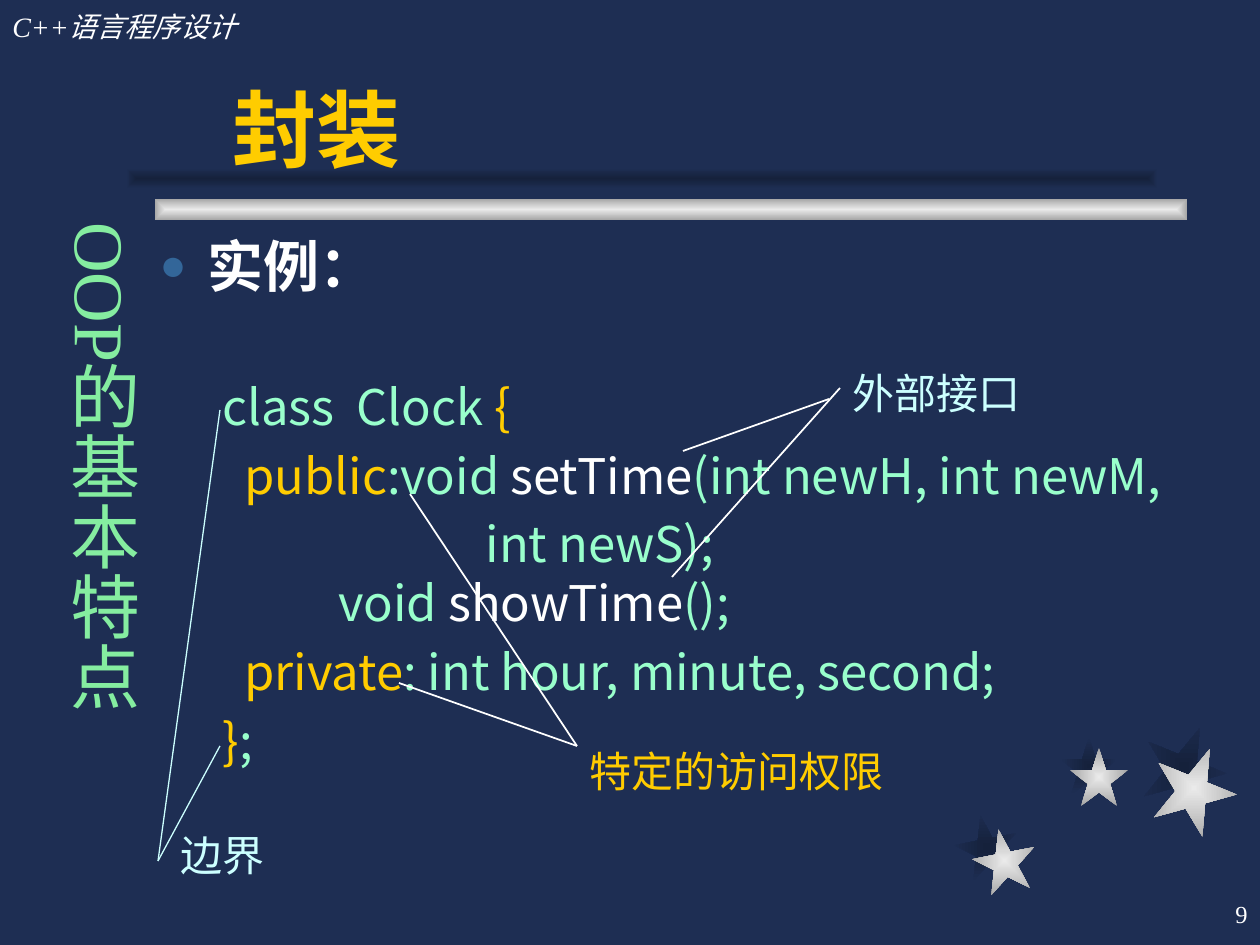
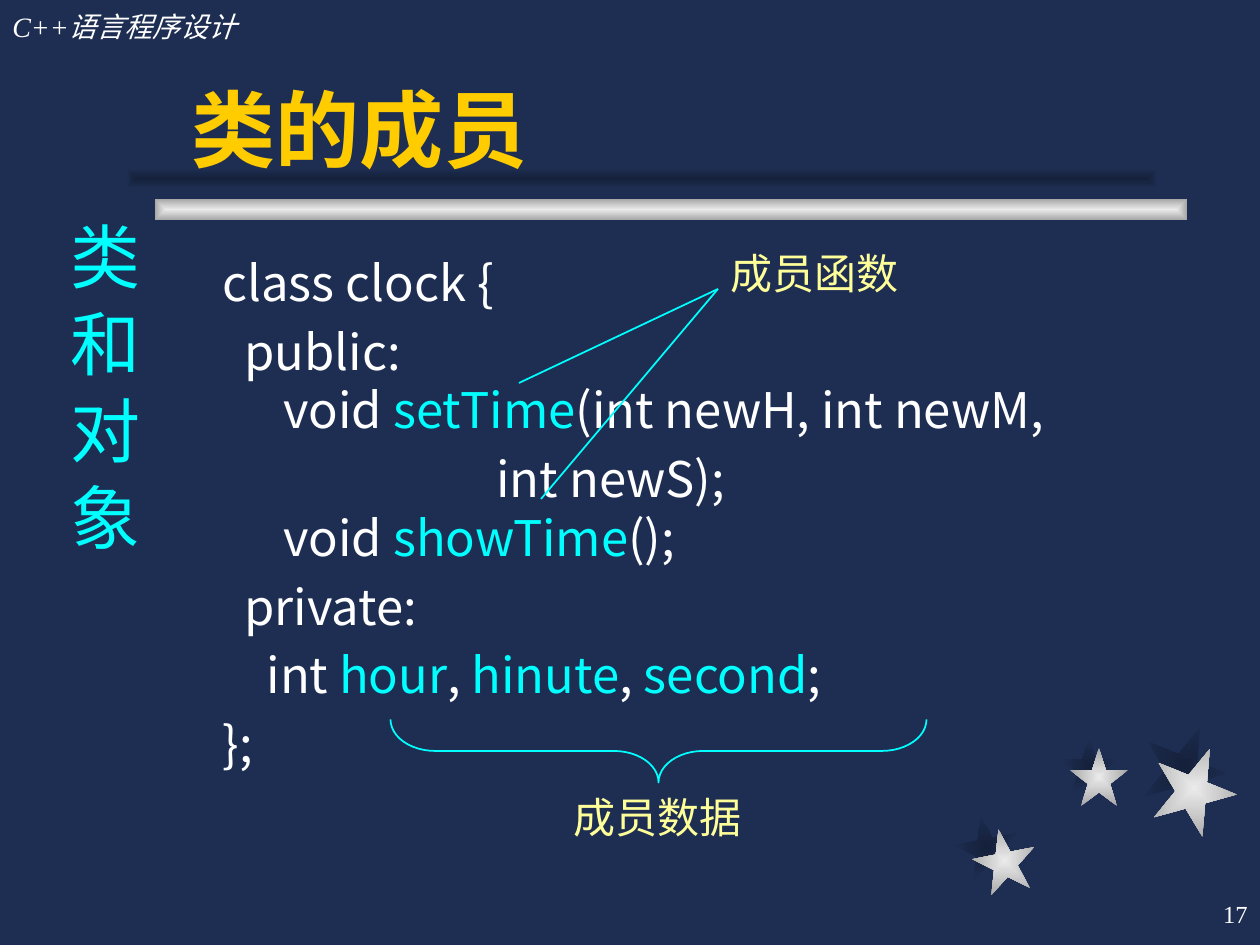
from dataclasses import dataclass
from lxml.etree import SubElement
from pptx import Presentation
from pptx.dml.color import RGBColor
from pptx.enum.shapes import MSO_CONNECTOR as Connector, MSO_SHAPE as Shape
from pptx.enum.text import MSO_ANCHOR as Anchor, MSO_AUTO_SIZE as AutoSize, PP_ALIGN as Align
from pptx.oxml import parse_xml
from pptx.oxml.ns import nsdecls, qn
from pptx.util import Pt


@dataclass(frozen=True)
class Theme:
    navy: str = "1E2E53"
    shade: str = "15213B"
    silver: str = "EAEAEA"
    steel: str = "A7A7A7"
    white: str = "FFFFFF"
    gold: str = "FFCC00"
    mint: str = "99FFCC"
    green: str = "85EDA0"
    ice: str = "CCFFFF"
    cyan: str = "00FFFF"
    cream: str = "FFFF99"
    bullet: str = "336699"
    serif: str = "Times New Roman"
    sans: str = "Arial"
    cjk: str = "Noto Sans CJK SC"
    title_size: int = 48
    chapter_size: int = 40
    heading_size: int = 32
    code_size: int = 28
    label_size: int = 24
    header_size: int = 16
    number_size: int = 14
    leading: float = 1.2


T = Theme()
EMU_PER_PX = 914400 / 126
INSET = 13
LINE_GAP = 10

COURSE = "C++语言程序设计"
STARS = [
    ((955, 815), (973, 829), 63, 349),
    ((1060, 737), (1070, 748), 58, 0),
    ((1142, 725), (1152, 746), 84, 22),
]
RULES = [((155, 199), T.silver, T.steel), ((126, 168), T.shade, T.navy)]

SLIDES = [
    {
        "number": "9",
        "title": ("封装", (220, 69, 955, 116)),
        "chapter": ("OOP的基本特点", T.green),
        "body": (147, 225, 1124, 536),
        "heading": "实例：",
        "code": [
            (223, 78, [("class  Clock ", T.mint), ("{", T.gold)]),
            (245, LINE_GAP, [("public", T.gold), (":void ", T.mint), ("setTime", T.white),
                             ("(int newH, int newM,", T.mint)]),
            (486, LINE_GAP, [("int newS);", T.mint)]),
            (339, 0, [("void ", T.mint), ("showTime", T.white), ("();", T.mint)]),
            (245, LINE_GAP, [("private", T.gold), (": int hour, minute, second;", T.mint)]),
            (223, LINE_GAP, [("}", T.gold), (";", T.mint)]),
        ],
        "labels": [
            ("边界", (168, 823, 126, 63), T.ice, Align.LEFT),
            ("特定的访问权限", (577, 739, 326, 63), T.gold, Align.LEFT),
            ("外部接口", (840, 361, 220, 63), T.ice, Align.LEFT),
        ],
        "pointers": [
            ((220, 410), (158, 861), T.ice, 0.75),
            ((220, 746), (158, 861), T.ice, 0.75),
            ((672, 577), (840, 388), T.white, 1),
            ((683, 451), (829, 399), T.white, 1),
            ((410, 494), (577, 746), T.white, 1),
            ((399, 683), (577, 746), T.white, 1),
        ],
    },
    {
        "number": "17",
        "title": ("类的成员", (179, 38, 987, 147)),
        "chapter": ("类 和 对 象", T.cyan),
        "body": (179, 246, 998, 620),
        "code": [
            (223, 0, [("class clock {", T.white)]),
            (245, LINE_GAP, [("public:", T.white)]),
            (284, 0, [("void ", T.white), ("setTime", T.cyan), ("(int newH, int newM,", T.white)]),
            (497, LINE_GAP, [("int newS);", T.white)]),
            (284, 0, [("void ", T.white), ("showTime", T.cyan), ("();", T.white)]),
            (245, LINE_GAP, [("private:", T.white)]),
            (267, LINE_GAP, [("int ", T.white), ("hour", T.cyan), (", ", T.white), ("hinute", T.cyan),
                             (", ", T.white), ("second", T.cyan), (";", T.white)]),
            (223, LINE_GAP, [("};", T.white)]),
        ],
        "labels": [
            ("成员数据", (548, 785, 220, 63), T.cream, Align.CENTER),
            ("成员函数", (718, 241, 220, 63), T.cream, Align.LEFT),
        ],
        "pointers": [
            ((541, 499), (718, 289), T.cyan, 1),
            ((519, 383), (718, 289), T.cyan, 1),
        ],
        "brace": (627, 483, 63, 536),
    },
]


def px(length):
    return round(length * EMU_PER_PX)


def scaled(lengths):
    return [px(length) for length in lengths]


def rgb(colour):
    return RGBColor.from_string(colour)


def write(paragraph, runs, size, font=T.serif, bold=False, italic=False, align=Align.LEFT, before=0):
    paragraph.alignment = align
    paragraph.line_spacing = Pt(size * T.leading)
    paragraph.space_before = px(before)
    for words, colour in runs:
        run = paragraph.add_run()
        run.text = words
        run.font.size = Pt(size)
        run.font.bold = bold
        run.font.italic = italic
        run.font.color.rgb = rgb(colour)
        run.font.name = font
        SubElement(run.font._element, qn("a:ea"), typeface=T.cjk)


def add_label(shapes, words, box, colour, size, anchor=Anchor.TOP, vertical=False, **style):
    frame = shapes.add_textbox(*scaled(box)).text_frame
    frame.word_wrap = True
    frame.vertical_anchor = anchor
    if vertical:
        frame._txBody.bodyPr.set("vert", "eaVert")
    write(frame.paragraphs[0], [(words, colour)], size, **style)


def add_glow(shapes, kind, box, inner, outer, rotation=0):
    ornament = shapes.add_shape(kind, *scaled(box))
    ornament.rotation = rotation
    ornament.shadow.inherit = False
    ornament.line.fill.background()
    ornament.fill.background()
    properties = ornament._element.spPr
    gradient = parse_xml(
        f'<a:gradFill {nsdecls("a")} rotWithShape="1"><a:gsLst>'
        f'<a:gs pos="0"><a:srgbClr val="{inner}"/></a:gs>'
        f'<a:gs pos="100000"><a:srgbClr val="{outer}"/></a:gs></a:gsLst>'
        '<a:path path="shape"><a:fillToRect l="50000" t="50000" r="50000" b="50000"/></a:path>'
        '</a:gradFill>')
    properties.replace(properties.find(qn("a:noFill")), gradient)


def decorate(layout, slide):
    layout.background.fill.solid()
    layout.background.fill.fore_color.rgb = rgb(T.navy)
    for shadow, star, side, turn in STARS:
        add_glow(slide.shapes, Shape.STAR_5_POINT, (*shadow, side, side), T.shade, T.navy, turn)
        add_glow(slide.shapes, Shape.STAR_5_POINT, (*star, side, side), T.silver, T.steel, turn)
    for corner, inner, outer in RULES:
        add_glow(slide.shapes, Shape.RECTANGLE, (*corner, 1032, 21), inner, outer)
    add_label(slide.shapes, COURSE, (0, 3, 388, 47), T.white, T.header_size, italic=True)
    for ornament in list(slide.shapes):
        if not ornament.is_placeholder:
            layout.shapes._spTree.append(ornament._element)


def place(placeholder, box, anchor):
    placeholder.left, placeholder.top, placeholder.width, placeholder.height = scaled(box)
    frame = placeholder.text_frame
    frame.auto_size = AutoSize.NONE
    frame.word_wrap = True
    frame.vertical_anchor = anchor
    return frame


def indent(paragraph, margin, hanging=0, bullet=None):
    properties = paragraph._p.get_or_add_pPr()
    properties.set("marL", str(px(margin)))
    properties.set("indent", str(px(-hanging)))
    if bullet:
        SubElement(SubElement(properties, qn("a:buClr")), qn("a:srgbClr"), val=T.bullet)
        SubElement(properties, qn("a:buSzPct"), val="80000")
        SubElement(properties, qn("a:buChar"), char=bullet)
    else:
        SubElement(properties, qn("a:buNone"))


def fill_body(placeholder, content):
    frame = place(placeholder, content["body"], Anchor.TOP)
    left = content["body"][0] + INSET
    paragraph = frame.paragraphs[0]
    if "heading" in content:
        write(paragraph, [(content["heading"], T.white)], T.heading_size, T.cjk, bold=True)
        indent(paragraph, 48, 48, "●")
        paragraph = frame.add_paragraph()
    for row, (start, before, runs) in enumerate(content["code"]):
        if row:
            paragraph = frame.add_paragraph()
        paragraph.level = 1
        write(paragraph, runs, T.code_size, T.cjk, before=before)
        indent(paragraph, start - left)


def add_pointer(shapes, start, end, colour, width):
    pointer = shapes.add_connector(Connector.STRAIGHT, *scaled(start + end))
    pointer.line.color.rgb = rgb(colour)
    pointer.line.width = Pt(width)
    SubElement(pointer._element.spPr, qn("a:effectLst"))


def add_brace(shapes, box):
    brace = shapes.add_shape(Shape.RIGHT_BRACE, *scaled(box))
    brace.rotation = 90
    brace.adjustments[0] = 0.71
    brace.adjustments[1] = 0.5
    brace.shadow.inherit = False
    brace.fill.background()
    brace.line.color.rgb = rgb(T.cyan)
    brace.line.width = Pt(1)


def build_slide(slide, content):
    title, title_box = content["title"]
    heading = place(slide.shapes.title, title_box, Anchor.BOTTOM).paragraphs[0]
    write(heading, [(title, T.gold)], T.title_size, T.sans, bold=True)
    fill_body(slide.placeholders[1], content)
    chapter, colour = content["chapter"]
    add_label(slide.shapes, chapter, (41, 210, 110, 651), colour, T.chapter_size, vertical=True)
    add_label(slide.shapes, content["number"], (998, 882, 262, 63), T.white, T.number_size,
              anchor=Anchor.MIDDLE, align=Align.RIGHT)
    for words, box, colour, align in content["labels"]:
        add_label(slide.shapes, words, box, colour, T.label_size, align=align)
    for pointer in content["pointers"]:
        add_pointer(slide.shapes, *pointer)
    if "brace" in content:
        add_brace(slide.shapes, content["brace"])


def main():
    deck = Presentation()
    deck.slide_width, deck.slide_height = scaled((1260, 945))
    layout = deck.slide_layouts[1]
    pages = [deck.slides.add_slide(layout) for _ in SLIDES]
    decorate(layout, pages[0])
    for page, content in zip(pages, SLIDES):
        build_slide(page, content)
    deck.save("out.pptx")


if __name__ == "__main__":
    main()
